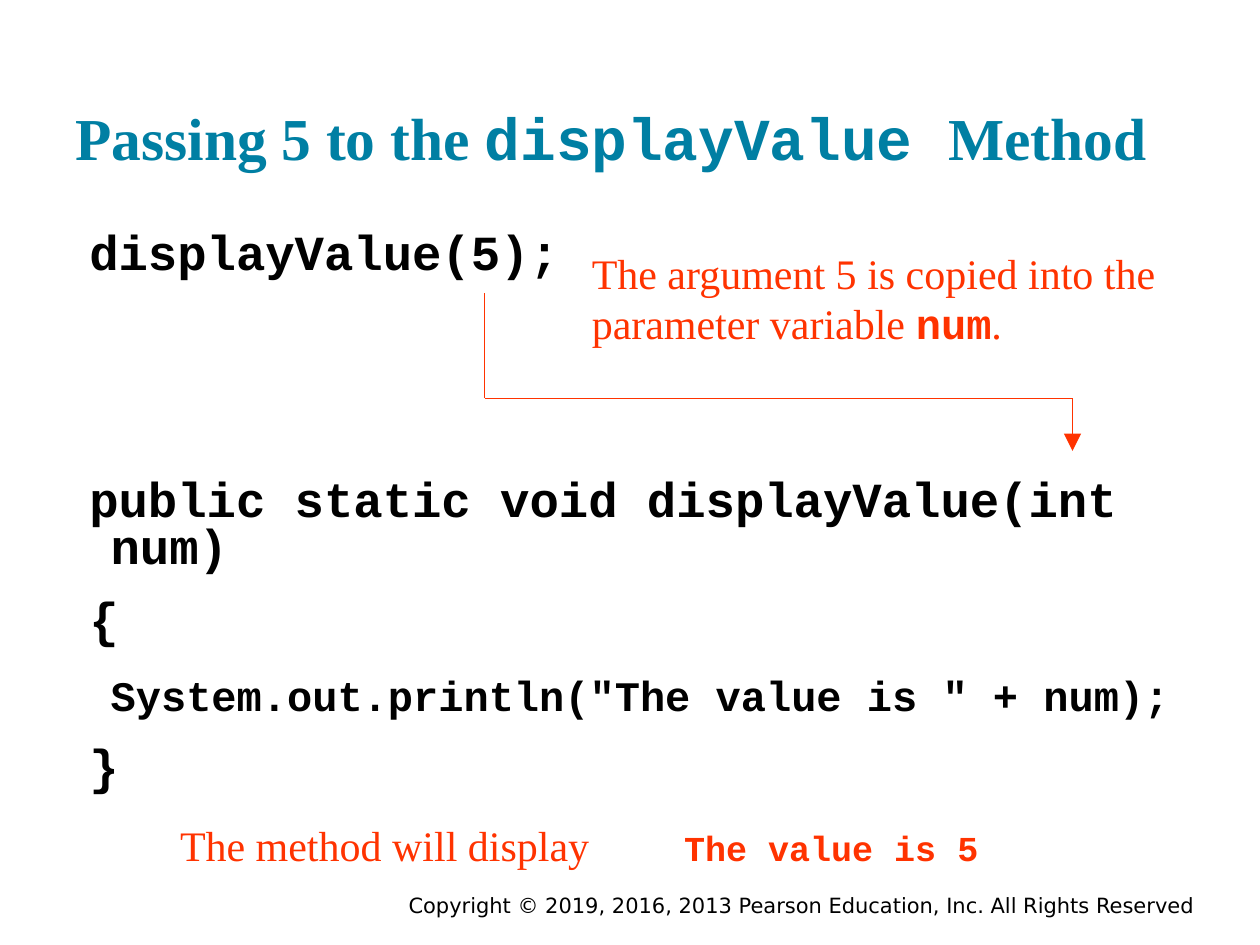
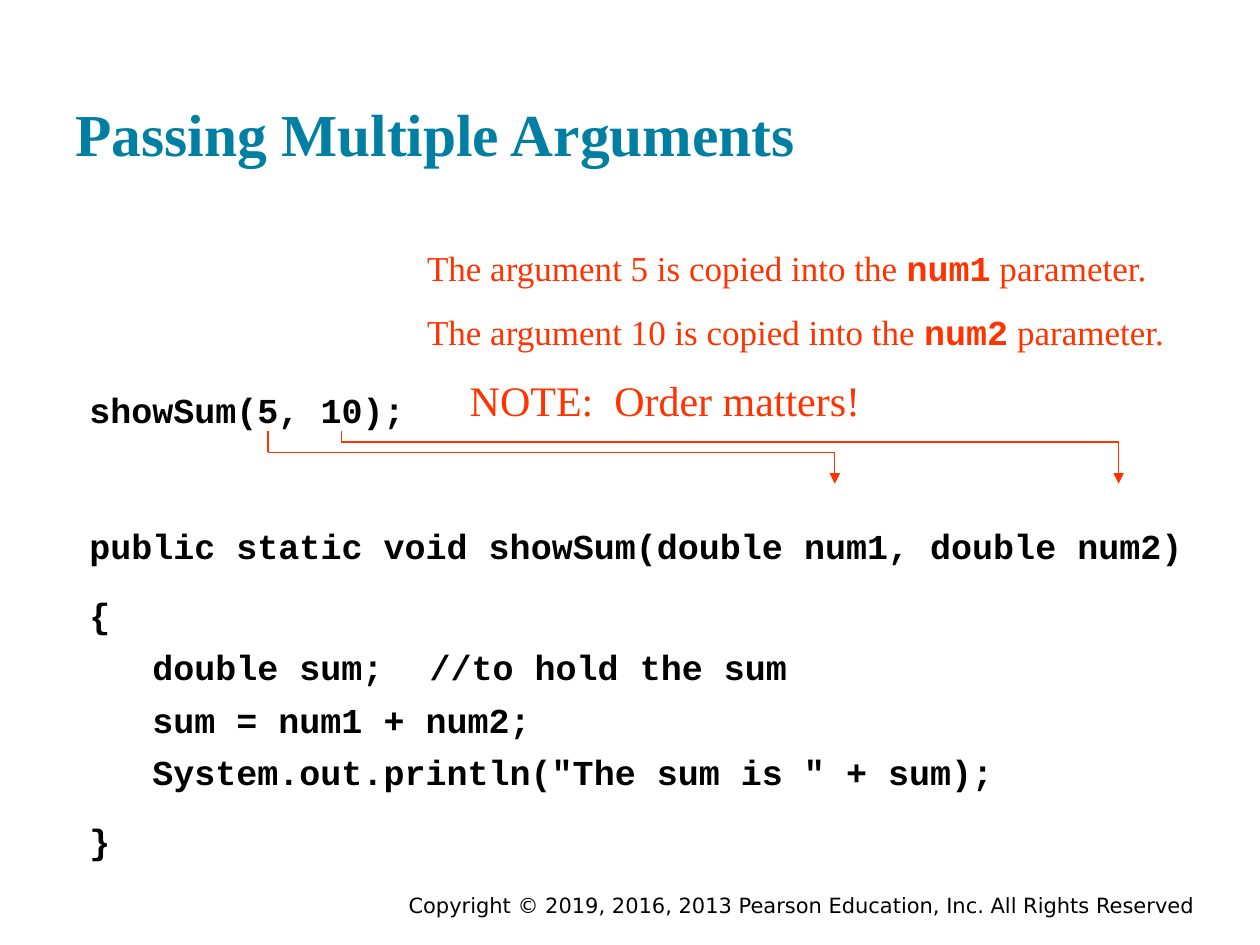
from lxml import etree
from pptx import Presentation
from pptx import util as u
from pptx.dml.color import RGBColor
from pptx.enum import shapes, text
from pptx.oxml.ns import qn

SERIF, MONO, SANS = "Times New Roman", "Courier New", "DejaVu Sans"
TEAL, BLACK, RED = "007FA3", "000000", "FF3300"


def style(name, size, color, bold=False):
    return {"name": name, "size": u.Pt(size), "color": color, "bold": bold}


THEME = {
    "title": style(SERIF, 34, TEAL, True),
    "title code": style(MONO, 34, TEAL, True),
    "large code": style(MONO, 28, BLACK, True),
    "medium code": style(MONO, 24, BLACK, True),
    "code": style(MONO, 20, BLACK, True),
    "large note": style(SERIF, 24, RED),
    "large variable": style(MONO, 24, RED, True),
    "note": style(SERIF, 20, RED),
    "variable": style(MONO, 20, RED, True),
    "footer": style(SANS, 12, BLACK),
}
INDENTS = {"flush": (0, 0), "hanging": (0.71, -0.43), "inner": (2.06, -0.51)}
TAB_STEP = 2.54
TAB_STOPS = [TAB_STEP * step for step in range(8)]
PLACEHOLDER_INSETS = (0.25, 0.25)
BOX_INSETS = (0.25, 0.13)

FOOTER = {
    "at": (4.45, 17.86, 19.89, 0.56),
    "paragraphs": [([("Copyright © 2019, 2016, 2013 Pearson Education, Inc. All Rights Reserved", "footer")], "flush", 0)],
}

SLIDES = [
    {
        "title": [("Passing 5 to the ", "title"), ("displayValue ", "title code"), ("Method", "title")],
        "title at": (1.27, 0.67, 22.86, 3.05),
        "code at": (1.27, 4.45, 22.86, 12.57),
        "line spacing": 0.8,
        "code": [
            ([("displayValue(5);", "large code")], "hanging", 0),
            ([("public static void displayValue(int num)", "large code")], "hanging", 114),
            ([("{", "large code")], "hanging", 15),
            ([("\t", "large code"),
              ('System.out.println("The value is " + num);', "medium code")], "hanging", 15),
            ([("}", "large code")], "hanging", 15),
        ],
        "notes": [
            {
                "at": (11.68, 4.85, 12.07, 2.29),
                "paragraphs": [([
                    ("The argument 5 is copied into the parameter variable ", "large note"),
                    ("num", "large variable"), (".", "large note"),
                ], "flush", 0)],
            },
            {
                "at": (3.38, 16.4, 18.62, 1.27),
                "paragraphs": [([
                    ("The method will display\t", "large note"), ("The value is 5", "variable"),
                ], "flush", 0)],
            },
        ],
        "arrows": [{"start": (9.77, 5.91), "bend": 8.03, "end": (21.62, 9.09), "head": "lg"}],
    },
    {
        "title": [("Passing Multiple Arguments", "title")],
        "title at": (1.27, 0.59, 22.86, 3.05),
        "code at": (1.27, 7.58, 22.86, 10.24),
        "line spacing": 1.0,
        "code": [
            ([("showSum(5, 10);", "code")], "hanging", 0),
            ([("public static void showSum(double num1, double num2)", "code")], "hanging", 54),
            ([("{", "code")], "hanging", 15),
            ([("double sum;\t//to hold the sum", "code")], "inner", 6),
            ([("sum = num1 + num2;", "code")], "inner", 6),
            ([('System.out.println("The sum is " + sum);', "code")], "inner", 6),
            ([("}", "code")], "hanging", 15),
        ],
        "notes": [
            {
                "at": (8.36, 4.84, 15.67, 2.39),
                "paragraphs": [
                    ([(f"The argument {value} is copied into the ", "note"),
                      (parameter, "variable"), (" parameter.", "note")], "flush", gap)
                    for value, parameter, gap in [(5, "num1", 0), (10, "num2", 12.5)]
                ],
            },
            {
                "at": (9.22, 7.42, 11, 1.27),
                "paragraphs": [([("NOTE:  Order matters!", "large note")], "flush", 0)],
            },
        ],
        "arrows": [
            {"start": (5.4, 8.69), "bend": 9.12, "end": (16.83, 9.75), "head": "med"},
            {"start": (6.88, 8.69), "bend": 8.91, "end": (22.55, 9.75), "head": "med"},
        ],
    },
]


def lengths(values):
    return [u.Cm(value) for value in values]


def set_all(target, values):
    for name, value in values.items():
        setattr(target, name, value)


def add_runs(paragraph, runs):
    for words, style_name in runs:
        run = paragraph.add_run()
        run.text = words
        values = dict(THEME[style_name])
        run.font.color.rgb = RGBColor.from_string(values.pop("color"))
        set_all(run.font, values)


def format_paragraph(paragraph, indent, gap, line_spacing, align):
    properties = paragraph._p.get_or_add_pPr()
    sizes = (*INDENTS[indent], TAB_STEP)
    for name, value in zip(("marL", "indent", "defTabSz"), lengths(sizes)):
        properties.set(name, str(value))
    etree.SubElement(properties, qn("a:buNone"))
    tabs = etree.SubElement(properties, qn("a:tabLst"))
    for stop in lengths(TAB_STOPS):
        etree.SubElement(tabs, qn("a:tab"), pos=str(stop), algn="l")
    set_all(paragraph, {
        "alignment": align, "line_spacing": line_spacing,
        "space_before": u.Pt(gap), "space_after": u.Pt(0),
    })


def fill_text(shape, at, paragraphs, insets, line_spacing=1.0,
              anchor=text.MSO_ANCHOR.TOP, align=text.PP_ALIGN.LEFT):
    set_all(shape, dict(zip(("left", "top", "width", "height"), lengths(at))))
    across, down = lengths(insets)
    frame = shape.text_frame
    set_all(frame, {
        "word_wrap": True, "auto_size": text.MSO_AUTO_SIZE.NONE, "vertical_anchor": anchor,
        "margin_left": across, "margin_right": across, "margin_top": down, "margin_bottom": down,
    })
    for number, (runs, indent, gap) in enumerate(paragraphs):
        paragraph = frame.add_paragraph() if number else frame.paragraphs[0]
        format_paragraph(paragraph, indent, gap, line_spacing, align)
        add_runs(paragraph, runs)


def add_box(slide, box, **options):
    shape = slide.shapes.add_textbox(*lengths(box["at"]))
    fill_text(shape, box["at"], box["paragraphs"], BOX_INSETS, **options)


def add_arrow(slide, start, bend, end, head):
    corners = [start, (start[0], bend), (end[0], bend), end]
    for begin, finish in zip(corners, corners[1:]):
        connector = slide.shapes.add_connector(
            shapes.MSO_CONNECTOR.STRAIGHT, *lengths(begin + finish))
        connector.line.color.rgb = RGBColor.from_string(RED)
        connector.line.width = u.Pt(0.75)
        etree.SubElement(connector.element.spPr, qn("a:effectLst"))
    etree.SubElement(connector.line._get_or_add_ln(), qn("a:tailEnd"),
                     type="triangle", w=head, len=head)


def build_slide(presentation, content):
    slide = presentation.slides.add_slide(presentation.slide_layouts[1])
    title, body = slide.placeholders
    add_box(slide, FOOTER, align=text.PP_ALIGN.RIGHT)
    fill_text(title, content["title at"], [(content["title"], "flush", 0)],
              PLACEHOLDER_INSETS, anchor=text.MSO_ANCHOR.BOTTOM)
    fill_text(body, content["code at"], content["code"],
              PLACEHOLDER_INSETS, line_spacing=content["line spacing"])
    for note in content["notes"]:
        add_box(slide, note)
    for arrow in content["arrows"]:
        add_arrow(slide, **arrow)


def main():
    presentation = Presentation()
    set_all(presentation, {"slide_width": u.Cm(25.4), "slide_height": u.Cm(19.05)})
    for content in SLIDES:
        build_slide(presentation, content)
    presentation.save("out.pptx")


if __name__ == "__main__":
    main()
